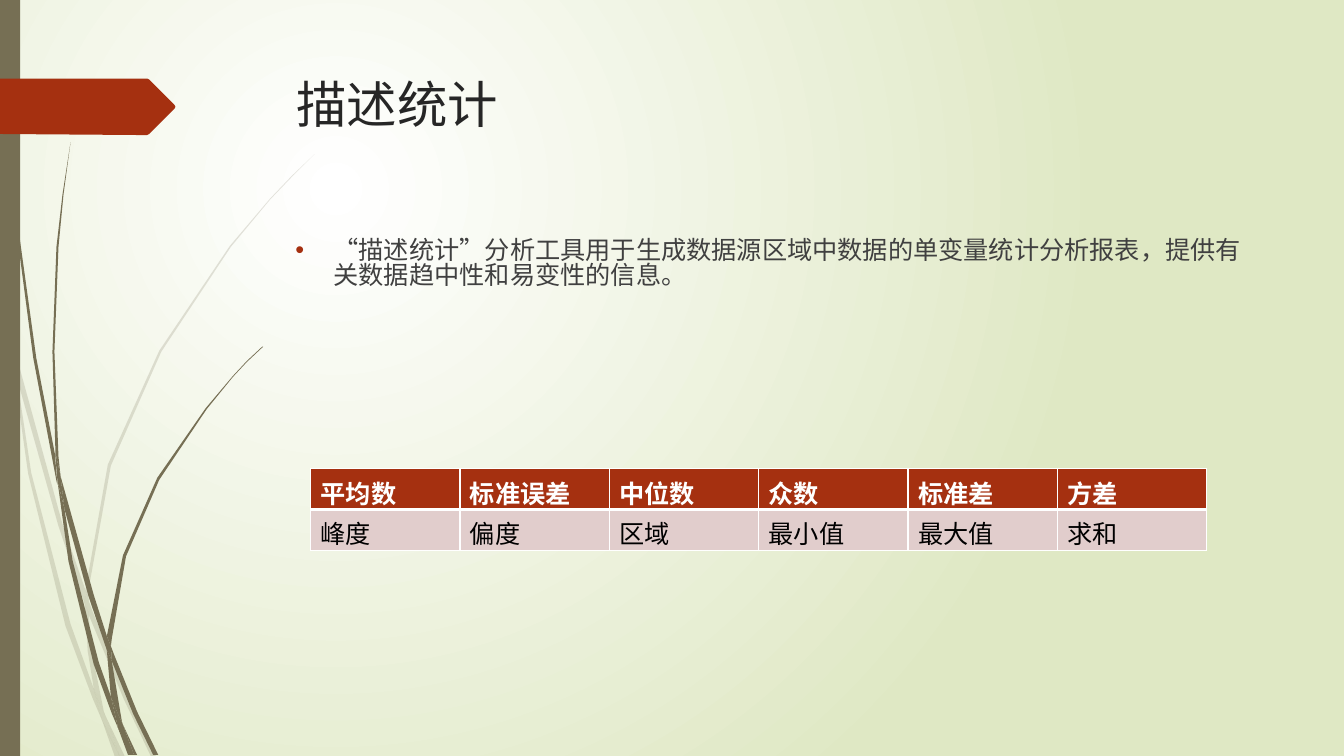
"""Build the descriptive statistics slide with its wisp border, bullet and table."""
import pptx
import pptx.dml.color
import pptx.enum.shapes
import pptx.oxml
import pptx.oxml.ns
import pptx.util

THEME = {
    "font": "TeX Gyre Adventor", "title_size": 36, "text_size": 18,
    "title": "262626", "body": "404040", "stem": "766F54", "accent": "A53010",
    "light": "FFFFFF", "dark": "000000", "band": "E1CDCC", "edge": "DFE8C4",
}
NAMESPACE = pptx.oxml.ns.nsdecls("a")
COLUMNS, ROWS = 1333, 750
CELL = pptx.util.Inches(0.01)

presentation = pptx.Presentation()
presentation.slide_width = COLUMNS * CELL
presentation.slide_height = ROWS * CELL
slide = presentation.slides.add_slide(presentation.slide_layouts[6])


def color(name):
    return pptx.dml.color.RGBColor.from_string(THEME[name])


def draw_outline(outline, fill_name):
    corners = [tuple(int(value) * CELL for value in pair.split(",")) for pair in outline.split()]
    builder = slide.shapes.build_freeform(*corners[0])
    builder.add_line_segments(corners[1:], close=True)
    shape = builder.convert_to_shape()
    shape.shadow.inherit = False
    shape.fill.solid()
    shape.fill.fore_color.rgb = color(fill_name)
    shape.line.fill.background()
    return shape


slide.background.fill.solid()
solid = slide.element.find(".//" + pptx.oxml.ns.qn("p:bgPr"))[0]
solid.getparent().replace(solid, pptx.oxml.parse_xml(
    f'<a:gradFill {NAMESPACE} rotWithShape="1"><a:gsLst>'
    f'<a:gs pos="0"><a:srgbClr val="{THEME["light"]}"/></a:gs>'
    f'<a:gs pos="100000"><a:srgbClr val="{THEME["edge"]}"/></a:gs></a:gsLst>'
    '<a:path path="circle"><a:fillToRect l="50000" t="50000" r="100000" b="100000"/></a:path>'
    '</a:gradFill>'))

PALE_WISPS = [
    "11,350 9,322 0,282 0,299 10,344",
    "58,522 84,599 85,586 62,520 14,345 17,376",
    "92,607 88,596 88,610 123,694 150,751 155,751 127,692",
    "119,751 124,751 105,711",
    "93,683 70,619 31,469 17,376 11,350 28,470 65,621 92,693 101,714 99,707",
    "84,599 87,646 93,683 96,692 105,711 103,706 91,646 88,610 88,608",
    "88,584 110,462 160,349 229,245 268,198 290,175 312,153 289,175 268,197 228,244 "
    "158,348 107,461 85,584 85,586 88,596",
    "101,714 114,751 119,751",
    "88,608 88,610 88,596 85,586 84,599",
    "96,692 93,683 99,707 101,714 119,751 105,711",
]
DARK_WISPS = [
    "7,110 17,233 33,355 56,477 57,481 55,457 55,453 36,355 19,232 8,109 5,48 4,0 3,0 4,48",
    "88,592 106,645 106,633 106,631 93,590 60,472 64,505",
    "113,649 110,641 111,656 132,708 152,749 157,749 136,706",
    "110,691 98,657 72,556 64,505 57,477 68,557 93,659 111,708 117,722 116,717",
    "60,472 58,453 54,349 58,245 63,193 70,141 62,193 56,245 52,349 55,449",
    "133,749 136,749 122,719",
    "57,477 64,505 60,472 55,449 55,453",
    "111,633 125,552 158,476 205,406 231,374 245,359 261,344 260,344 245,358 231,373 "
    "204,405 156,474 122,551 106,631 110,641",
    "117,722 127,749 131,749",
    "106,645 110,691 116,706 122,719 121,716 111,656 109,651",
    "106,645 109,651 111,656 110,641 106,631 106,633",
    "116,706 110,691 116,717 117,722 130,749 133,749 122,719",
]
for wisps, opacity in ((PALE_WISPS, 20), (DARK_WISPS, 100)):
    stems = [draw_outline(wisp, "stem") for wisp in wisps]
    if opacity < 100:
        for shape in stems:
            shape.element.spPr.find(".//" + pptx.oxml.ns.qn("a:srgbClr")).append(
                pptx.oxml.parse_xml(f'<a:alpha {NAMESPACE} val="{opacity * 1000}"/>'))
    slide.shapes.add_group_shape(stems)

side_bar = slide.shapes.add_shape(
    pptx.enum.shapes.MSO_SHAPE.RECTANGLE, 0, 0, 20 * CELL, ROWS * CELL)
side_bar.shadow.inherit = False
side_bar.fill.solid()
side_bar.fill.fore_color.rgb = color("stem")
side_bar.line.fill.background()
draw_outline("0,78 146,78 148,79 173,104 174,106 173,108 148,133 146,134 136,134 0,133", "accent")

TEXTS = [
    ("描述统计", (284, 68, 975, 140), "title", "title_size", {}),
    ("“描述统计”分析工具用于生成数据源区域中数据的单变量统计分析报表，提供有关数据趋中性和易变性的信息。",
     (283, 233, 975, 89), "body", "text_size",
     {"space_before": pptx.util.Pt(10), "line_spacing": 0.82}),
]
for text, box, color_name, size_name, paragraph_format in TEXTS:
    frame = slide.shapes.add_textbox(*(length * CELL for length in box)).text_frame
    frame.word_wrap = True
    paragraph = frame.paragraphs[0]
    paragraph.text = text
    for name, value in paragraph_format.items():
        setattr(paragraph, name, value)
    font = paragraph.runs[0].font
    for name, value in {"name": THEME["font"], "size": pptx.util.Pt(THEME[size_name])}.items():
        setattr(font, name, value)
    font.color.rgb = color(color_name)

properties = paragraph._p.get_or_add_pPr()
for name, value in {"marL": 38 * CELL, "indent": -38 * CELL}.items():
    properties.set(name, str(value))
for bullet in (f'<a:buClr {NAMESPACE}><a:srgbClr val="{THEME["accent"]}"/></a:buClr>',
               f'<a:buFont {NAMESPACE} typeface="Arial"/>', f'<a:buChar {NAMESPACE} char="•"/>'):
    properties.append(pptx.oxml.parse_xml(bullet))

TABLE_ROWS = [
    (["平均数", "标准误差", "中位数", "众数", "标准差", "方差"], "accent", "light", True,
     {"lnL": 1, "lnR": 1, "lnT": 1, "lnB": 3}),
    (["峰度", "偏度", "区域", "最小值", "最大值", "求和"], "band", "dark", False,
     {"lnL": 1, "lnR": 1, "lnT": 3, "lnB": 1}),
]
table = slide.shapes.add_table(
    2, 6, 308 * CELL, 465 * CELL, 889 * CELL, 81 * CELL).table
for row, (labels, fill_name, color_name, bold, borders) in enumerate(TABLE_ROWS):
    for column, label in enumerate(labels):
        cell = table.cell(row, column)
        cell.text = label
        font = cell.text_frame.paragraphs[0].runs[0].font
        for name, value in {"name": THEME["font"], "bold": bold,
                            "size": pptx.util.Pt(THEME["text_size"])}.items():
            setattr(font, name, value)
        font.color.rgb = color(color_name)
        for side, width in borders.items():
            cell._tc.get_or_add_tcPr().append(pptx.oxml.parse_xml(
                f'<a:{side} {NAMESPACE} w="{pptx.util.Pt(width)}"><a:solidFill>'
                f'<a:srgbClr val="{THEME["light"]}"/></a:solidFill></a:{side}>'))
        cell.fill.solid()
        cell.fill.fore_color.rgb = color(fill_name)

presentation.save("out.pptx")
